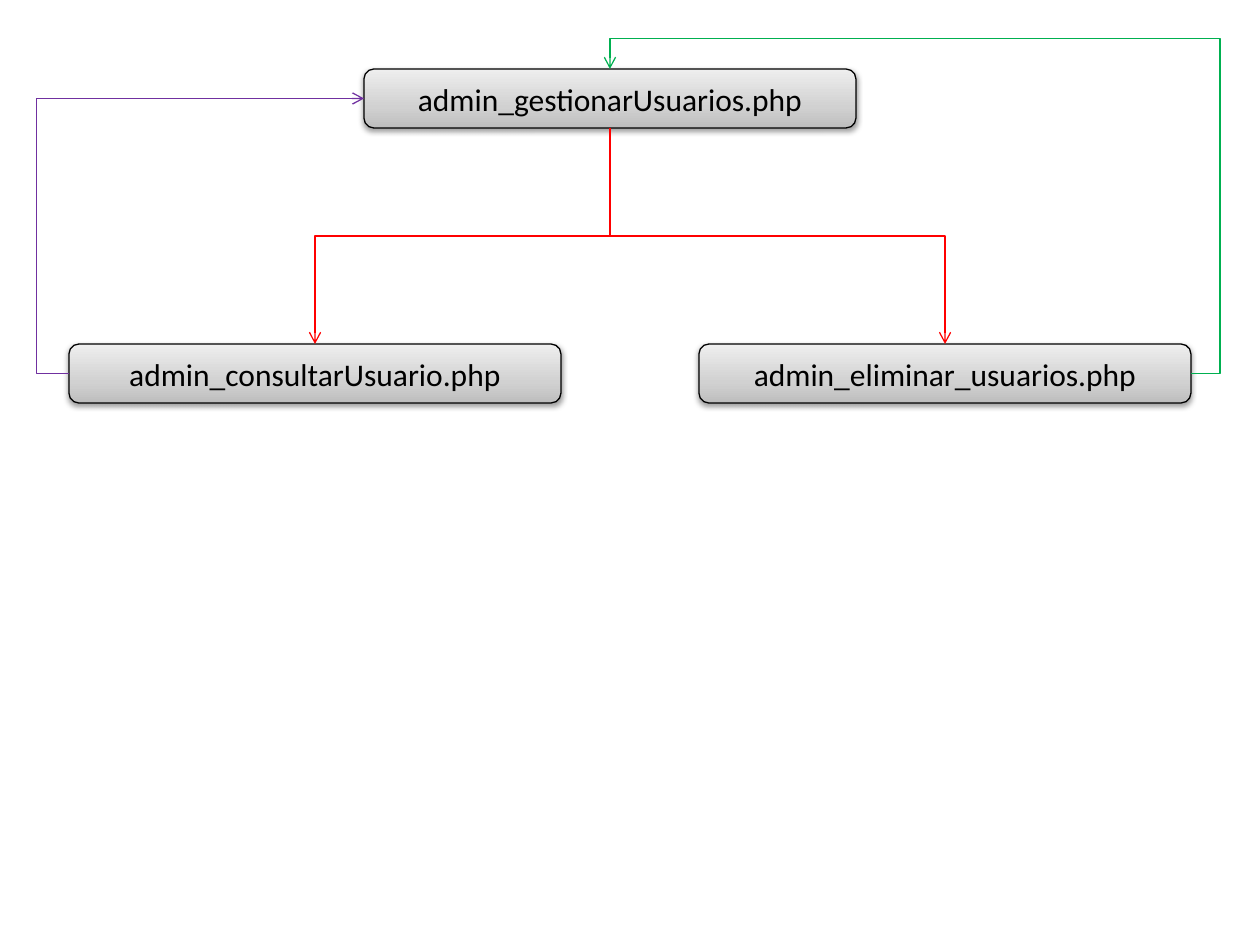
from lxml.etree import SubElement
from pptx import Presentation
from pptx.dml.color import RGBColor
from pptx.enum.shapes import MSO_CONNECTOR as Conn, MSO_SHAPE as Shape
from pptx.enum.text import MSO_ANCHOR as Anchor, PP_ALIGN as Align
from pptx.oxml.ns import qn
from pptx.util import Emu, Pt

BLACK = RGBColor(0x00, 0x00, 0x00)
RED = RGBColor(0xFF, 0x00, 0x00)
GREEN = RGBColor(0x00, 0xB0, 0x50)
PURPLE = RGBColor(0x70, 0x30, 0xA0)
GREYS = {
    0: RGBColor(0xBD, 0xBD, 0xBD),
    35: RGBColor(0xD1, 0xD1, 0xD1),
    100: RGBColor(0xEE, 0xEE, 0xEE),
}
BOX_W, BOX_H = 492, 59
TOP, LEFT, BOTTOM, RIGHT = range(4)


def px(n):
    return Emu(round(n * 914400 / 126))


def add(node, tag, **attrs):
    return SubElement(node, qn(tag), {k: str(v) for k, v in attrs.items()})


def write(shape, text, size=18, font="Calibri", color=BLACK, align=Align.CENTER):
    frame = shape.text_frame
    frame.word_wrap = True
    frame.vertical_anchor = Anchor.MIDDLE
    para = frame.paragraphs[0]
    para.alignment = align
    run = para.add_run()
    run.text = text
    run.font.size = Pt(size)
    run.font.name = font
    run.font.color.rgb = color


def shade(shape):
    """Fill with the grey gradient, darkest at the bottom."""
    shape.fill.gradient()
    shape.fill.gradient_angle = 90
    stops = shape._element.spPr.find(".//" + qn("a:gsLst"))
    for old in list(stops):
        stops.remove(old)
    for pos, grey in GREYS.items():
        stop = add(stops, "a:gs", pos=pos * 1000)
        add(stop, "a:srgbClr", val=grey)


def drop_shadow(shape):
    shape.shadow.inherit = False
    effects = shape._element.spPr.find(qn("a:effectLst"))
    outer = add(effects, "a:outerShdw", blurRad=Pt(3.1), dist=Pt(1.6),
                dir=90 * 60000, rotWithShape=0)
    add(add(outer, "a:srgbClr", val=BLACK), "a:alpha", val=38000)


def page(slide, x, y, text):
    box = slide.shapes.add_shape(Shape.ROUNDED_RECTANGLE,
                                 px(x), px(y), px(BOX_W), px(BOX_H))
    shade(box)
    box.line.color.rgb = BLACK
    box.line.width = Pt(0.75)
    drop_shadow(box)
    write(box, text)
    return box


def link(slide, start, end, color, rot=0, flip="", bends=(0.5,)):
    """Join two (box, side) pairs with an elbow arrow; bends are its adjustments."""
    line = slide.shapes.add_connector(Conn.ELBOW, 0, 0, 0, 0)
    line.begin_connect(*start)
    line.end_connect(*end)
    line.line.color.rgb = color
    line.line.width = Pt(0.75)
    add(line.line._get_or_add_ln(), "a:tailEnd", type="arrow")

    if rot % 180:
        wide, high = line.width, line.height
        line.left += (wide - high) // 2
        line.top += (high - wide) // 2
        line.width, line.height = high, wide
    props = line._element.spPr
    frame = props.find(qn("a:xfrm"))
    frame.set("rot", str(rot * 60000))
    frame.set("flipH", str(int("h" in flip)))
    frame.set("flipV", str(int("v" in flip)))

    shape = props.find(qn("a:prstGeom"))
    shape.set("prst", f"bentConnector{len(bends) + 2}")
    guides = shape.find(qn("a:avLst"))
    if guides is None:
        guides = add(shape, "a:avLst")
    for i, bend in enumerate(bends, 1):
        add(guides, "a:gd", name=f"adj{i}", fmla=f"val {round(bend * 100000)}")
    add(props, "a:effectLst")


def main():
    deck = Presentation()
    deck.slide_width, deck.slide_height = px(1260), px(945)
    slide = deck.slides.add_slide(deck.slide_layouts[6])

    manage = page(slide, 364, 69, "admin_gestionarUsuarios.php")
    query = page(slide, 69, 344, "admin_consultarUsuario.php")
    delete = page(slide, 699, 344, "admin_eliminar_usuarios.php")

    link(slide, (manage, BOTTOM), (delete, TOP), RED, rot=270, flip="h")
    link(slide, (manage, BOTTOM), (query, TOP), RED, rot=90)
    link(slide, (delete, RIGHT), (manage, TOP), GREEN, flip="hv", bends=(-0.05, 1.1))
    link(slide, (query, LEFT), (manage, LEFT), PURPLE, rot=180, flip="h", bends=(-0.11,))

    deck.save("out.pptx")


if __name__ == "__main__":
    main()
